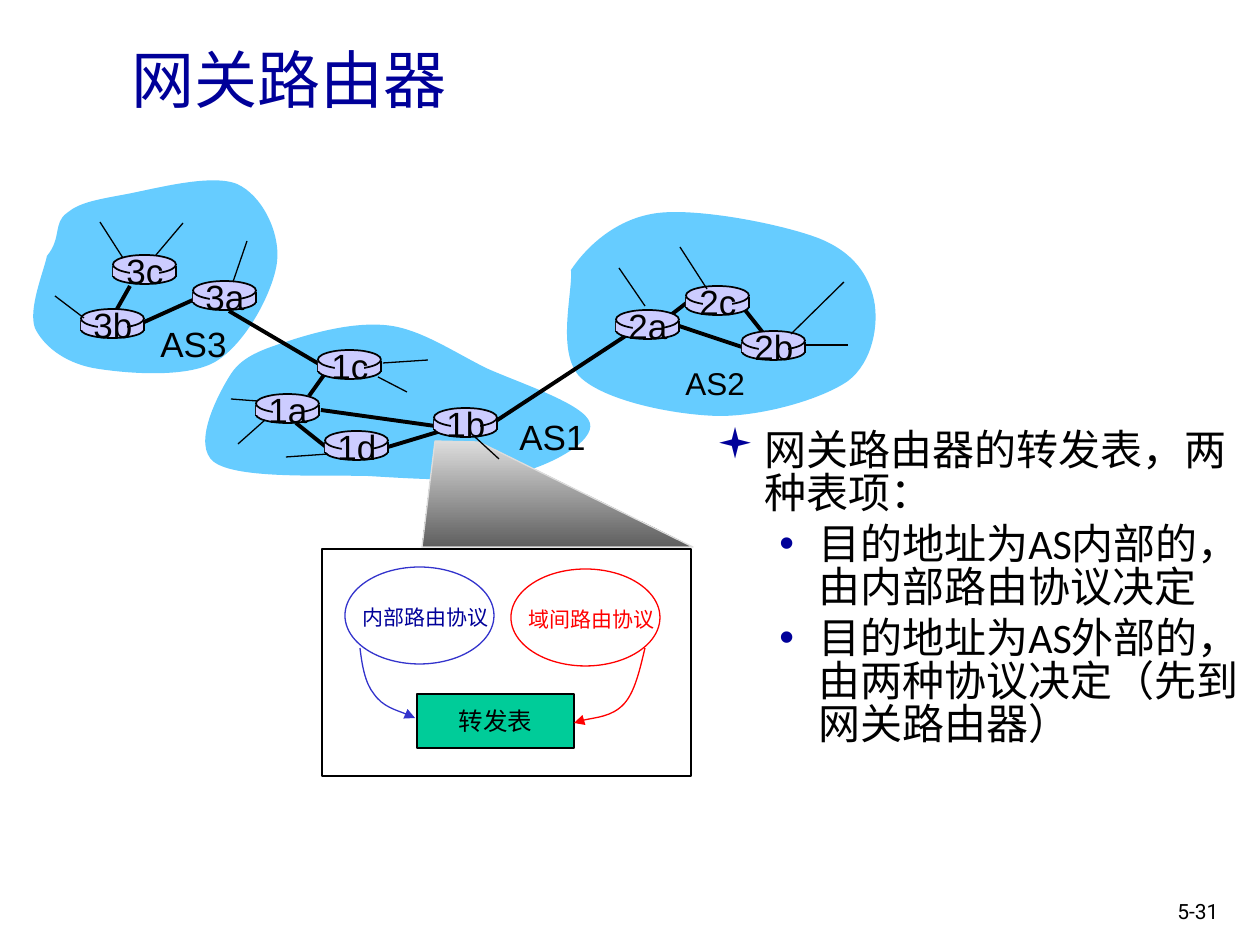
from pptx import Presentation
from pptx.dml.color import RGBColor
from pptx.enum.shapes import MSO_CONNECTOR, MSO_SHAPE
from pptx.enum.text import MSO_ANCHOR, MSO_AUTO_SIZE, PP_ALIGN
from pptx.oxml.xmlchemy import OxmlElement
from pptx.util import Emu, Pt

SCALE = 914400 / 126  # EMU in one px
CJK = "Noto Sans CJK SC"
COLORS = {
    "black": "000000", "navy": "000099", "blue": "3333CC", "red": "FF0000",
    "cloud": "66CCFF", "router": "CCCCFF", "table": "00CC99",
    "beam_top": "DDDDDD", "beam_bottom": "5F5F5F",
}

# Cloud outlines: a start, then three points for each curve
CLOUDS = [
    [(571, 270), (587, 246), (617, 218), (658, 213), (699, 208), (781, 224), (818, 238),
     (854, 252), (869, 276), (874, 300), (879, 324), (873, 362), (848, 381),
     (822, 399), (764, 416), (719, 416), (674, 415), (605, 401), (580, 377),
     (556, 352), (573, 292), (571, 270)],
    [(47, 256), (62, 238), (53, 223), (67, 213), (79, 203), (95, 200), (122, 195),
     (151, 190), (210, 173), (237, 184), (262, 195), (281, 233), (277, 263),
     (273, 292), (246, 344), (215, 362), (185, 379), (122, 373), (93, 368),
     (63, 362), (43, 345), (35, 328), (28, 309), (44, 271), (47, 256)],
    [(231, 374), (244, 354), (268, 348), (295, 339), (321, 331), (359, 321), (392, 326),
     (423, 331), (454, 352), (486, 368), (519, 383), (585, 404), (590, 423),
     (595, 441), (553, 465), (515, 474), (479, 483), (417, 479), (367, 476),
     (318, 475), (237, 479), (214, 462), (192, 445), (217, 396), (231, 374)],
]
ROUTERS = {
    "3a": (193, 281), "3b": (81, 309), "3c": (113, 255),
    "1a": (256, 394), "1b": (434, 408), "1c": (318, 350), "1d": (325, 431),
    "2a": (616, 310), "2b": (742, 331), "2c": (686, 286),
}
LINKS = [
    (679, 326, 742, 347), (745, 310, 764, 334), (667, 318, 689, 301),
    (388, 447, 441, 431), (296, 423, 326, 447), (321, 410, 435, 426),
    (309, 396, 324, 375), (142, 323, 193, 300), (229, 311, 319, 364),
    (496, 421, 627, 335), (130, 286, 117, 309),
]
STUBS = [
    (55, 296, 84, 318), (183, 223, 156, 255), (100, 222, 123, 258), (247, 241, 233, 282),
    (804, 345, 848, 345), (791, 334, 844, 282), (707, 289, 680, 247), (645, 306, 619, 268),
    (265, 420, 238, 444), (257, 401, 231, 399), (328, 454, 286, 457), (383, 363, 428, 360),
    (475, 437, 499, 459), (378, 377, 407, 392),
]
# Bullet levels: left margin, hanging indent, font and sign
LEVELS = [(48, 48, "Wingdings", "▪"), (102, 39, "Arial", "•")]


def px(value):
    return Emu(round(value * SCALE))


def rgb(name):
    return RGBColor.from_string(COLORS[name])


def element(tag, **attributes):
    node = OxmlElement(tag)
    for key, value in attributes.items():
        node.set(key, value)
    return node


def write(frame, text, size, font="Arial", color="black", align=PP_ALIGN.LEFT,
          wrap=False, anchor=MSO_ANCHOR.TOP, new=False):
    """Add formatted text to a frame and return its paragraph."""
    frame.word_wrap = wrap
    frame.auto_size = MSO_AUTO_SIZE.NONE
    frame.vertical_anchor = anchor
    para = frame.add_paragraph() if new else frame.paragraphs[0]
    para.alignment = align
    span = para.add_run()
    span.text = text
    span.font.size, span.font.name = Pt(size), font
    span.font.color.rgb = rgb(color)
    span.font._element.append(element("a:ea", typeface=CJK))
    return para


def add_label(page, text, box, size, **style):
    frame = page.shapes.add_textbox(*map(px, box)).text_frame
    write(frame, text, size, **style)


def paint(shape, fill=None, line=None, width=0.75):
    shape.shadow.inherit = False
    if fill:
        shape.fill.solid()
        shape.fill.fore_color.rgb = rgb(fill)
    else:
        shape.fill.background()
    if line:
        shape.line.color.rgb = rgb(line)
        shape.line.width = Pt(width)
    else:
        shape.line.fill.background()
    return shape


def add_block(page, kind, box, **style):
    return paint(page.shapes.add_shape(kind, *map(px, box)), **style)


def add_line(page, ends, width):
    line = page.shapes.add_connector(MSO_CONNECTOR.STRAIGHT, *map(px, ends))
    line.line.color.rgb = rgb("black")
    line.line.width = Pt(width)
    line._element.spPr.append(element("a:effectLst"))


def add_outline(page, points, close=True, curved=False, **style):
    builder = page.shapes.build_freeform(*points[0], scale=SCALE)
    builder.add_line_segments(points[1:], close=close)
    shape = builder.convert_to_shape()
    if curved:  # every three segments become one cubic curve
        segments = shape._element.xpath(".//a:lnTo")
        for start in range(0, len(segments), 3):
            curve = element("a:cubicBezTo")
            segments[start].addprevious(curve)
            for segment in segments[start:start + 3]:
                curve.append(segment[0])
                segment.getparent().remove(segment)
    return paint(shape, **style)


def add_arrow(page, points, color):
    arrow = add_outline(page, points, close=False, curved=True, line=color)
    arrow.line._get_or_add_ln().append(element("a:tailEnd", type="triangle"))


def add_router(page, name, x, y):
    edge = {"fill": "router", "line": "black", "width": 1}
    add_block(page, MSO_SHAPE.OVAL, (x, y + 12, 63, 17), **edge)
    for side in (x, x + 63):
        add_line(page, (side, y + 11, side, y + 22), 1)
    add_block(page, MSO_SHAPE.RECTANGLE, (x, y + 11, 62, 10), fill="router")
    add_block(page, MSO_SHAPE.OVAL, (x, y, 63, 19), **edge)
    add_block(page, MSO_SHAPE.RECTANGLE, (x + 17, y + 2, 29, 25), fill="router")
    add_label(page, name, (x, y - 12, 64, 54), 20, align=PP_ALIGN.CENTER)


def add_protocols(page):
    """Beam from router 1b down to the panel that shows its two protocols."""
    beam = add_outline(page, [(422, 547), (435, 441), (479, 442), (693, 547)], line="beam_top")
    beam.fill.gradient()
    beam.fill.gradient_angle = 270
    for stop, color in zip(beam.fill.gradient_stops, ("beam_top", "beam_bottom")):
        stop.color.rgb = rgb(color)
    add_block(page, MSO_SHAPE.RECTANGLE, (322, 549, 369, 227), line="black")
    for text, x, y, line, color in [("内部路由协议", 345, 567, "blue", "navy"),
                                    ("域间路由协议", 511, 569, "red", "red")]:
        add_block(page, MSO_SHAPE.OVAL, (x, y, 149, 97), line=line)
        add_label(page, text, (x + 5, y + 31, 152, 38), 12, font=CJK, color=color)
    table = add_block(page, MSO_SHAPE.RECTANGLE, (417, 694, 157, 54), fill="table", line="black")
    write(table.text_frame, "转发表", 14, font=CJK, align=PP_ALIGN.CENTER,
          anchor=MSO_ANCHOR.MIDDLE)
    add_arrow(page, [(360, 648), (362, 665), (365, 683), (374, 694),
                     (383, 707), (408, 714), (415, 718)], "blue")
    add_arrow(page, [(645, 648), (640, 669), (635, 692), (624, 704),
                     (612, 717), (582, 719), (574, 723)], "red")


def add_bullets(page, box, items):
    frame = page.shapes.add_textbox(*map(px, box)).text_frame
    for index, (level, text) in enumerate(items):
        para = write(frame, text, 24, font="Calibri", wrap=True, new=index > 0)
        para.level, para.line_spacing, para.space_before = level, 0.85, Pt(4.8)
        margin, hang, font, sign = LEVELS[level]
        props = para._p.get_or_add_pPr()
        props.set("marL", str(px(margin)))
        props.set("indent", str(px(-hang)))
        props.set("hangingPunct", "0")
        tint = element("a:buClr")
        tint.append(element("a:srgbClr", val=COLORS["navy"]))
        props.extend([tint, element("a:buFont", typeface=font), element("a:buChar", char=sign)])


def main():
    deck = Presentation()
    deck.slide_width, deck.slide_height = px(1260), px(945)
    page = deck.slides.add_slide(deck.slide_layouts[5])

    # Title
    title = page.shapes.title
    title.left, title.top, title.width, title.height = map(px, (119, 20, 1071, 116))
    write(title.text_frame, "网关路由器", 36, font=CJK, color="navy", wrap=True,
          anchor=MSO_ANCHOR.MIDDLE)

    # Network of three autonomous systems
    for points in CLOUDS:
        add_outline(page, points, curved=True, fill="cloud")
    for ends in LINKS:
        add_line(page, ends, 2.25)
    for name, (x, y) in ROUTERS.items():
        add_router(page, name, x, y)
    for text, x, y, size in [("AS3", 148, 316, 20), ("AS1", 507, 409, 20), ("AS2", 673, 358, 18)]:
        add_label(page, text, (x, y, 92, 54), size)

    # Inside the gateway router
    add_protocols(page)
    for ends in STUBS:
        add_line(page, ends, 0.75)

    # Explanation and page number
    add_bullets(page, (704, 425, 556, 469), [
        (0, "网关路由器的转发表，两种表项："),
        (1, "目的地址为AS内部的，由内部路由协议决定"),
        (1, "目的地址为AS外部的，由两种协议决定（先到网关路由器）"),
    ])
    add_label(page, "5-31", (1165, 892, 76, 38), 12, font="Roboto", wrap=True)
    deck.save("out.pptx")


if __name__ == "__main__":
    main()
